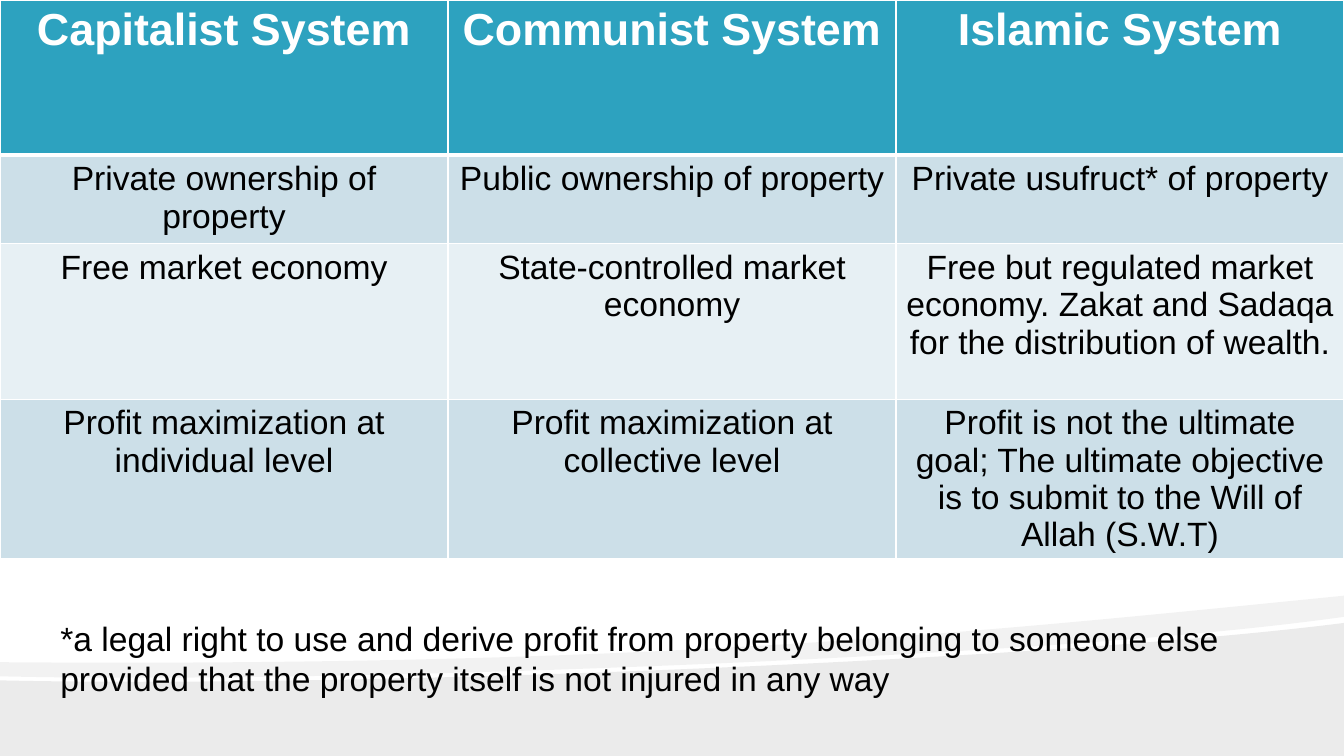
from lxml.etree import SubElement
from pptx import Presentation
from pptx.dml.color import RGBColor
from pptx.enum.text import PP_ALIGN as Align
from pptx.oxml import parse_xml
from pptx.oxml.ns import nsdecls, qn
from pptx.util import Inches, Pt

COLORS = {"header": "2DA2BF", "dark_band": "CCDFE8", "light_band": "E7F0F4",
          "white": "FFFFFF", "black": "000000"}
FONT = "Arial"
SLIDE_W, SLIDE_H = 13.33, 7.5

SYSTEMS = [
    ("Capitalist System", "Communist System", "Islamic System"),
    ("Private ownership of property", "Public ownership of property",
     "Private usufruct* of property"),
    ("Free market economy", "State-controlled market economy",
     "Free but regulated market economy. Zakat and Sadaqa for the "
     "distribution of wealth."),
    ("Profit maximization at individual level",
     "Profit maximization at collective level",
     "Profit is not the ultimate goal; The ultimate objective is to submit "
     "to the Will of Allah (S.W.T)"),
]
ROW_HEIGHTS = [1.54, 0.88, 1.54, 1.54]
FOOTNOTE = ("*a legal right to use and derive profit from property belonging "
            "to someone else provided that the property itself is not "
            "injured in any way")

# Outline steps: one point is a corner, three points are a cubic curve
LOWER_WAVE = [
    [(13.33, 6.18)], [(13.33, 7.5)], [(0, 7.5)], [(0, 6.75)],
    [(3.52, 6.83), (10.42, 6.55), (13.33, 6.18)],
]
RIBBON = [
    [(13.33, 5.91)], [(13.33, 6.12)],
    [(12.55, 6.23), (11.49, 6.33), (10.29, 6.41)],
    [(6.98, 6.63), (2.58, 6.77), (0, 6.71)], [(0, 6.57)],
    [(6.52, 6.62), (9.71, 6.27), (13.33, 5.91)],
]


def color(name):
    return RGBColor.from_string(COLORS[name])


def add_wave(page, steps, opacity):
    """Draw a closed black outline with the given opacity in percent."""
    corners = [(Inches(x), Inches(y)) for x, y in (step[-1] for step in steps)]
    builder = page.shapes.build_freeform(*corners[0])
    builder.add_line_segments(corners[1:], close=True)
    wave = builder.convert_to_shape()
    wave.shadow.inherit = False
    wave.line.fill.background()
    wave.fill.solid()
    wave.fill.fore_color.rgb = color("black")
    tint = wave._element.spPr.find(qn("a:solidFill"))[0]
    SubElement(tint, qn("a:alpha"), val=str(opacity * 1000))

    # Turn the straight segments of three-point steps into curves
    outline = wave._element.spPr.find(".//" + qn("a:path"))
    for segment, step in zip(list(outline), steps):
        if len(step) == 3:
            bend = SubElement(outline, qn("a:cubicBezTo"))
            for x, y in step:
                SubElement(bend, qn("a:pt"), x=str(Inches(x) - wave.left),
                           y=str(Inches(y) - wave.top))
            outline.replace(segment, bend)


def set_borders(cell, widths):
    properties = cell._tc.get_or_add_tcPr()
    for index, (side, width) in enumerate(widths.items()):
        properties.insert(index, parse_xml(
            f'<a:ln{side} {nsdecls("a")} w="{Pt(width)}"><a:solidFill>'
            f'<a:srgbClr val="{COLORS["white"]}"/></a:solidFill></a:ln{side}>'))


def style(para, size, ink, bold=False):
    para.font.name, para.font.size, para.font.bold = FONT, Pt(size), bold
    para.font.color.rgb = color(ink)


def add_systems_table(page):
    columns = len(SYSTEMS[0])
    table = page.shapes.add_table(
        len(SYSTEMS), columns, 0, 0, Inches(SLIDE_W),
        Inches(sum(ROW_HEIGHTS))).table
    for column in table.columns:
        column.width = Inches(SLIDE_W / columns)
    for r, (texts, height) in enumerate(zip(SYSTEMS, ROW_HEIGHTS)):
        table.rows[r].height = Inches(height)
        is_header = r == 0
        band = "header" if is_header else ("light_band", "dark_band")[r % 2]
        borders = {"L": 1, "R": 1, "T": 1, "B": 3 if is_header else 1}
        if r == 1:
            del borders["T"]
        for c, text in enumerate(texts):
            cell = table.cell(r, c)
            cell.text = text
            cell.fill.solid()
            cell.fill.fore_color.rgb = color(band)
            set_borders(cell, borders)
            para = cell.text_frame.paragraphs[0]
            para.alignment = Align.CENTER
            if is_header:
                style(para, 32, "white", bold=True)
            else:
                style(para, 24, "black")


def add_footnote(page):
    box = page.shapes.add_textbox(Inches(0.5), Inches(6.08),
                                  Inches(12.83), Inches(0.91))
    box.text_frame.word_wrap = True
    box.text_frame.text = FOOTNOTE
    style(box.text_frame.paragraphs[0], 24, "black")


def main():
    deck = Presentation()
    deck.slide_width, deck.slide_height = Inches(SLIDE_W), Inches(SLIDE_H)
    page = deck.slides.add_slide(deck.slide_layouts[6])
    page.background.fill.solid()
    page.background.fill.fore_color.rgb = color("white")
    add_wave(page, LOWER_WAVE, 8)
    add_wave(page, RIBBON, 5)
    add_systems_table(page)
    add_footnote(page)
    deck.save("out.pptx")


if __name__ == "__main__":
    main()
